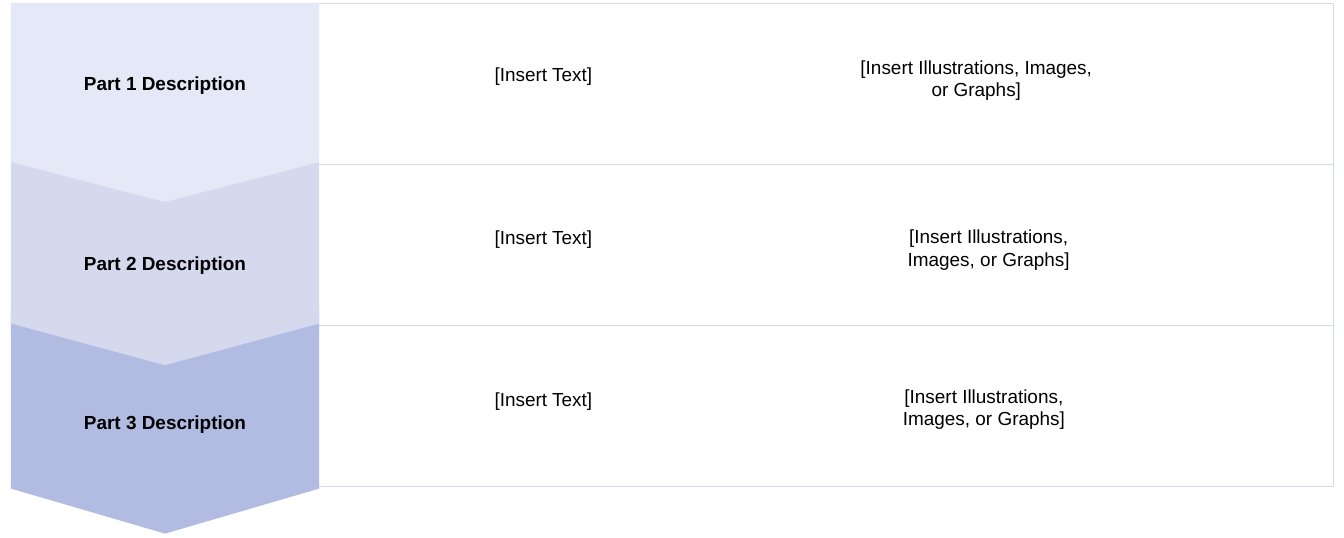
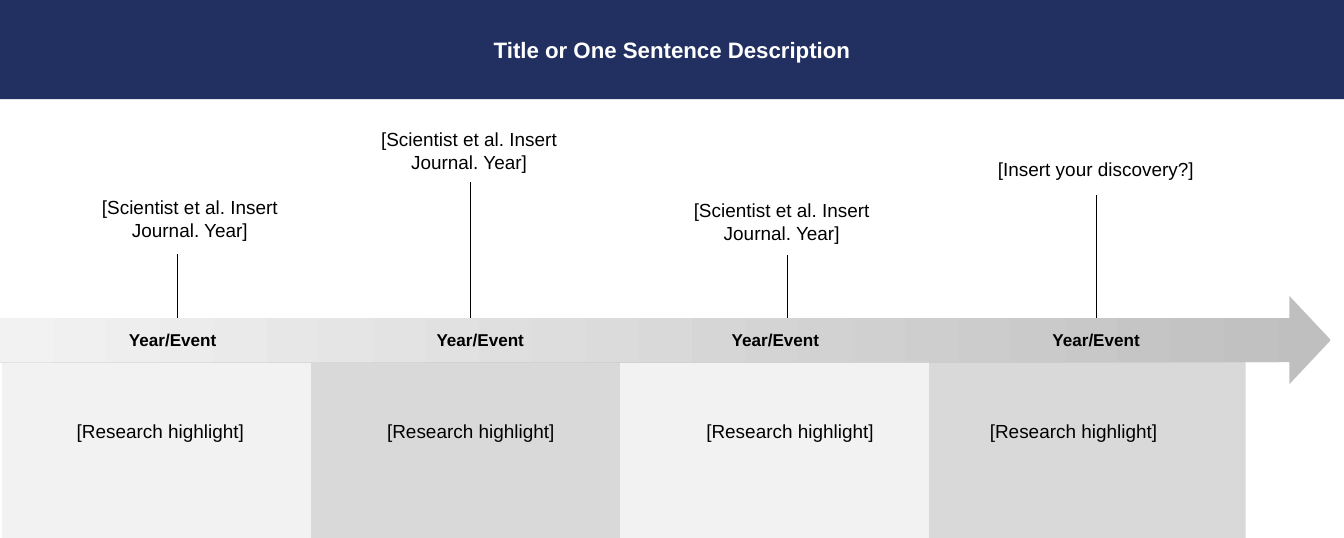
"""Build a three-part description slide and a research timeline slide."""
from lxml import etree
from pptx import Presentation
from pptx import util as u
from pptx.dml.color import RGBColor
from pptx.enum import shapes, text
from pptx.oxml.ns import qn

PX = 9144
WIDTH, HEIGHT = 1844, 738
FONT, BODY, LABEL, HEADING = "Arial", 18.7, 16.9, 22
BLACK, WHITE, NAVY = "000000", "FFFFFF", "223061"
BORDER, PALE, MIDDLE, DEEP = "D5D9EE", "E5E8F6", "D5D9EE", "B2BCE2"
LIGHT_GREY, GREY, DARK_GREY = "F2F2F2", "D9D9D9", "BFBFBF"
SHAPE = shapes.MSO_SHAPE


def px(*values):
    """Turn px lengths into EMU."""
    return [u.Emu(v * PX) for v in values]


def rgb(color):
    """Turn a hex string into a colour."""
    return RGBColor.from_string(color)


def write(sp, words, size=BODY, color=BLACK, bold=False,
          anchor=text.MSO_ANCHOR.MIDDLE, top=5, bottom=5):
    """Put one centred, formatted paragraph into a shape."""
    tf = sp.text_frame
    tf.word_wrap = True
    tf.auto_size = text.MSO_AUTO_SIZE.NONE
    tf.vertical_anchor = anchor
    tf.margin_left, tf.margin_right, tf.margin_top, tf.margin_bottom = px(6, 6, top, bottom)
    p = tf.paragraphs[0]
    p.alignment = text.PP_ALIGN.CENTER
    r = p.add_run()
    r.text = words
    r.font.name, r.font.size, r.font.bold = FONT, u.Pt(size), bold
    r.font.color.rgb = rgb(color)


def add_text(s, x, y, w, h, words, **style):
    """Add a top-anchored text box."""
    sp = s.shapes.add_textbox(*px(x, y, w, h))
    write(sp, words, anchor=text.MSO_ANCHOR.TOP, **style)


def add_shape(s, kind, x, y, w, h, fill=None, line=None):
    """Add a flat preset shape with optional fill and outline."""
    sp = s.shapes.add_shape(kind, *px(x, y, w, h))
    sp.shadow.inherit = False
    if fill:
        sp.fill.solid()
        sp.fill.fore_color.rgb = rgb(fill)
    else:
        sp.fill.background()
    if line:
        sp.line.color.rgb = rgb(line)
        sp.line.width = u.Pt(1)
    else:
        sp.line.fill.background()
    return sp


def add_stem(s, x, top, bottom):
    """Add a thin vertical line."""
    c = s.shapes.add_connector(shapes.MSO_CONNECTOR.STRAIGHT, *px(x, bottom, x, top))
    c.line.color.rgb = rgb(BLACK)
    c.line.width = u.Pt(1)
    etree.SubElement(c._element.spPr, qn("a:effectLst"))


def add_title(s, words):
    """Turn the title placeholder into a full-width band."""
    sp = s.shapes.title
    sp.left, sp.top, sp.width, sp.height = px(0, 0, WIDTH, 136)
    sp.fill.solid()
    sp.fill.fore_color.rgb = rgb(NAVY)
    write(sp, words, size=HEADING, color=WHITE, bold=True)


def add_time_arrow(s):
    """Add the timeline arrow, which darkens towards its head."""
    sp = add_shape(s, SHAPE.RIGHT_ARROW, 0, 406, 1826, 121)
    sp.adjustments[0], sp.adjustments[1] = 0.5, 0.47
    sp.fill.gradient()
    sp.fill.gradient_angle = 180
    for stop, color in zip(sp.fill.gradient_stops, (DARK_GREY, LIGHT_GREY)):
        stop.color.rgb = rgb(color)


def build_parts(prs):
    """Build the slide of three stacked parts."""
    s = prs.slides.add_slide(prs.slide_layouts[6])
    for i in range(3):
        add_shape(s, SHAPE.RECTANGLE, 412, 5 + 221 * i, 1417, 221, line=BORDER)
    tabs = [("Part 3 Description", 423, 309, DEEP, 70),
            ("Part 2 Description", 215, 286, MIDDLE, 68),
            ("Part 1 Description", 4, 273, PALE, 5)]
    for words, y, h, color, top in tabs:
        sp = add_shape(s, SHAPE.FLOWCHART_OFFPAGE_CONNECTOR, 15, y, 423, h, color)
        write(sp, words, bold=True, top=top)
    for y in (81, 305, 527):
        add_text(s, 586, y, 319, 42, "[Insert Text]")
    for x, y, w in ((1174, 71, 331), (1197, 303, 319), (1196, 522, 308)):
        add_text(s, x, y, w, 73, "[Insert Illustrations, Images, or Graphs]")


def build_timeline(prs):
    """Build the timeline slide."""
    s = prs.slides.add_slide(prs.slide_layouts[5])
    add_title(s, "Title or One Sentence Description")
    for x, top in ((243, 348), (646, 249), (1080, 350), (1504, 268)):
        add_stem(s, x, top, 440)
    for i in range(4):
        color = (LIGHT_GREY, GREY)[i % 2]
        add_shape(s, SHAPE.RECTANGLE, 3 + 424 * i, 477, 434, 261, color)
    add_time_arrow(s)
    citation = "[Scientist et al. Insert Journal. Year]"
    notes = [(116, 264, 73, citation), (499, 170, 73, citation),
             (928, 268, 73, citation), (1359, 211, 42, "[Insert your discovery?]")]
    for x, y, h, words in notes:
        add_text(s, x, y, 289, h, words)
    for x in (153, 575, 980, 1420):
        add_text(s, x, 447, 168, 38, "Year/Event", size=LABEL, bold=True)
    for x in (87, 513, 951, 1340):
        add_text(s, x, 571, 266, 42, "[Research highlight]")


def main():
    """Create and save the presentation."""
    prs = Presentation()
    prs.slide_width, prs.slide_height = px(WIDTH, HEIGHT)
    build_parts(prs)
    build_timeline(prs)
    prs.save("out.pptx")


if __name__ == "__main__":
    main()
